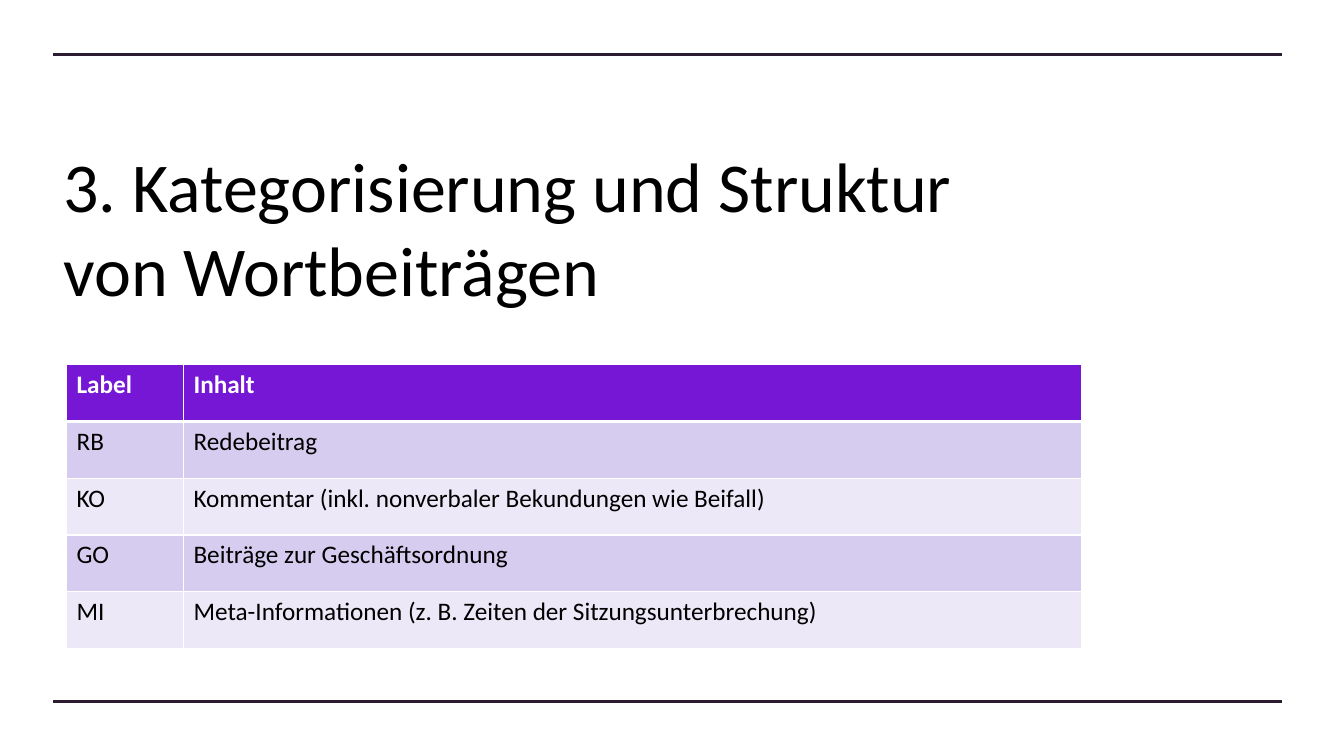
from lxml import etree
from pptx import Presentation
from pptx.dml.color import RGBColor
from pptx.enum.shapes import MSO_CONNECTOR
from pptx.enum.text import MSO_ANCHOR
from pptx.oxml.ns import qn
from pptx.util import Inches, Pt

STRAIGHT = MSO_CONNECTOR.STRAIGHT
MIDDLE = MSO_ANCHOR.MIDDLE

# Content
TITLE = "3. Kategorisierung und Struktur \vvon Wortbeiträgen"
ROWS = [
    ("Label", "Inhalt"),
    ("RB", "Redebeitrag"),
    ("KO", "Kommentar (inkl. nonverbaler Bekundungen wie Beifall)"),
    ("GO", "Beiträge zur Geschäftsordnung"),
    ("MI", "Meta-Informationen (z. B. Zeiten der Sitzungsunterbrechung)"),
]
COLUMN_WIDTHS = [1.16, 8.91]
ROW_HEIGHT = 0.5625
RULE_LEFT, RULE_RIGHT = 0.53, 12.72
RULE_TOPS = [0.54, 6.96]
FONT = "Calibri"
COLORS = {
    "rule": "2C1C31",
    "text": "000000",
    "white": "FFFFFF",
    "header": "7517D5",
    "odd": "D6CCEF",
    "even": "ECE8F7",
}


def color(name):
    return RGBColor.from_string(COLORS[name])


def write(frame, text, size, ink="text", bold=False):
    para = frame.paragraphs[0]
    para.text = text
    for span in para.runs:
        span.font.name = FONT
        span.font.size = Pt(size)
        span.font.bold = bold
        span.font.color.rgb = color(ink)


def add_rule(page, top):
    rule = page.shapes.add_connector(
        STRAIGHT, Inches(RULE_LEFT), Inches(top), Inches(RULE_RIGHT), Inches(top))
    rule.line.color.rgb = color("rule")
    rule.line.width = Pt(2.25)
    etree.SubElement(rule._element.spPr, qn("a:effectLst"))


def set_borders(cell, top, bottom):
    properties = cell._tc.get_or_add_tcPr()
    for side, width in (("L", 1), ("R", 1), ("T", top), ("B", bottom)):
        border = etree.SubElement(properties, qn("a:ln" + side), w=str(Pt(width)))
        fill = etree.SubElement(border, qn("a:solidFill"))
        etree.SubElement(fill, qn("a:srgbClr"), val=COLORS["white"])


def add_label_table(page):
    table = page.shapes.add_table(
        len(ROWS), len(COLUMN_WIDTHS), Inches(0.66), Inches(3.62),
        Inches(sum(COLUMN_WIDTHS)), Inches(ROW_HEIGHT * len(ROWS))).table
    for column, width in zip(table.columns, COLUMN_WIDTHS):
        column.width = Inches(width)
    for index, texts in enumerate(ROWS):
        table.rows[index].height = Inches(ROW_HEIGHT)
        is_header = index == 0
        shade = "header" if is_header else "odd" if index % 2 else "even"
        for column, text in enumerate(texts):
            cell = table.cell(index, column)
            # The edge below the header is heavier
            set_borders(cell, top=3 if index == 1 else 1, bottom=3 if is_header else 1)
            cell.fill.solid()
            cell.fill.fore_color.rgb = color(shade)
            write(cell.text_frame, text, 18,
                  ink="white" if is_header else "text", bold=is_header)


def main():
    deck = Presentation()
    deck.slide_width, deck.slide_height = Inches(13.33), Inches(7.5)
    page = deck.slides.add_slide(deck.slide_layouts[6])

    # Rules at top and bottom
    for top in RULE_TOPS:
        add_rule(page, top)

    # Title
    box = page.shapes.add_textbox(Inches(0.53), Inches(1.07), Inches(11.63), Inches(2.36))
    box.text_frame.word_wrap = True
    box.text_frame.vertical_anchor = MIDDLE
    write(box.text_frame, TITLE, 50)

    # Label table
    add_label_table(page)
    deck.save("out.pptx")


if __name__ == "__main__":
    main()
